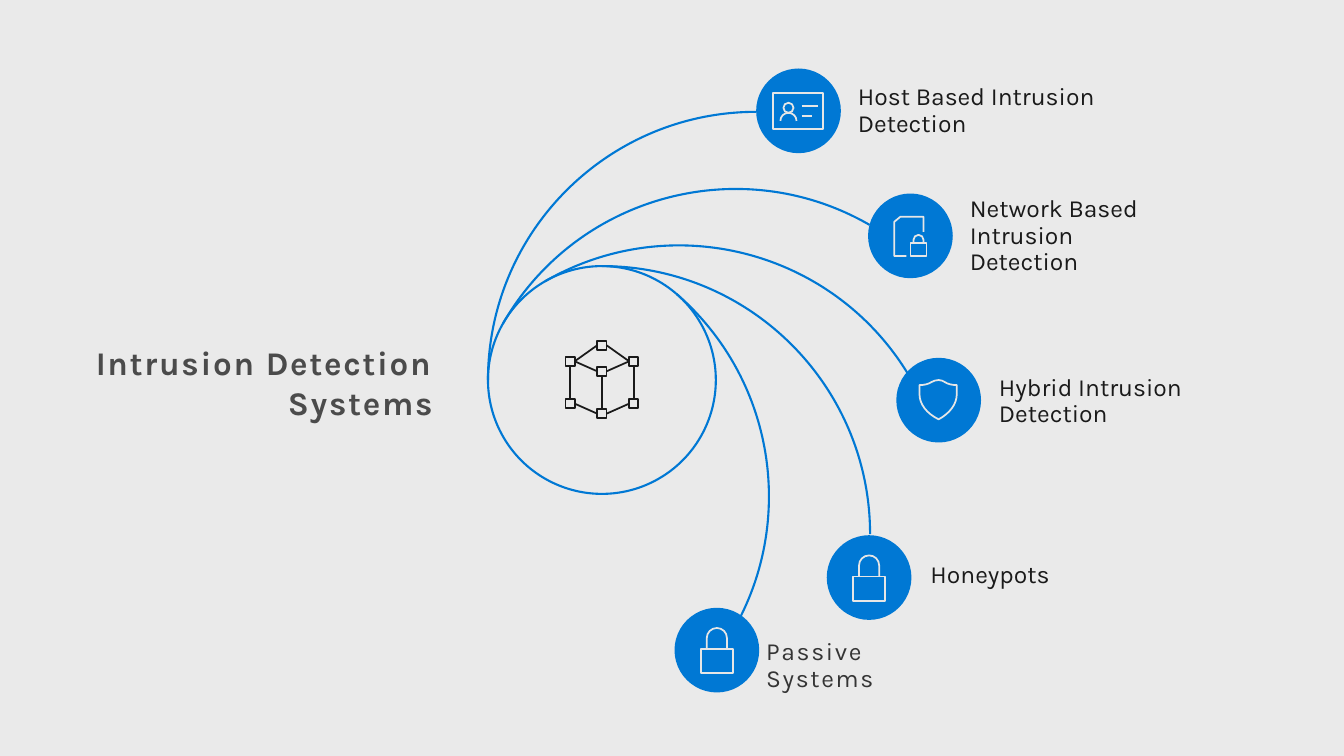
from dataclasses import dataclass
from math import cos, radians, sin, sqrt, tan

from pptx import Presentation
from pptx.dml.color import RGBColor
from pptx.enum.shapes import MSO_SHAPE
from pptx.enum.text import MSO_ANCHOR, MSO_AUTO_SIZE, PP_ALIGN
from pptx.oxml.ns import qn
from pptx.util import Inches, Pt

OVAL = MSO_SHAPE.OVAL
TOP, MIDDLE = MSO_ANCHOR.TOP, MSO_ANCHOR.MIDDLE
LEFT, RIGHT = PP_ALIGN.LEFT, PP_ALIGN.RIGHT
GROW = MSO_AUTO_SIZE.SHAPE_TO_FIT_TEXT


@dataclass(frozen=True)
class Theme:
    font: str = "Karla"
    back: str = "EAEAEA"
    accent: str = "0078D4"
    ink: str = "1A1A1A"
    soft_ink: str = "353535"
    title_ink: str = "4B4B4B"
    icon: str = "E6E6E6"
    title_size: float = 23.6
    label_size: float = 17.6
    tracking: float = 1.2
    arc_line: float = 1.5
    icon_line: float = 1.25


THEME = Theme()

# Content: topic, icon, arc tilt and spin, node centre, label box
TITLE = "Intrusion Detection Systems"
TOPICS = [
    ("Host Based Intrusion Detection", "card", (0, 0), (7.92, 1.1), (8.41, 0.79, 2.93, 0.63)),
    ("Network Based Intrusion Detection", "file", (30, 0), (9.03, 2.34), (9.52, 2.03, 2.34, 0.63)),
    ("Hybrid Intrusion Detection", "shield", (60, 0), (9.31, 3.97), (9.81, 3.67, 2.34, 0.63)),
    ("Honeypots", "padlock", (90, 0), (8.62, 5.73), (9.13, 5.52, 2.21, 0.37)),
    ("Passive Systems", "padlock", (90, 41), (7.11, 6.45), (7.5, 6.42, 2.21, 0.37)),
]
TRACKED = {"Passive Systems"}

# Layout in inches
PAGE_SIZE = (13.33, 7.5)
TITLE_BOX = (0.78, 3.35, 3.61, 0.89)
HUB = (5.97, 3.77)
HUB_RADIUS = 1.13
ARC_RADIUS = 2.66
NODE_RADIUS = 0.42


# A stroke starts at a point; each later item is a point or a cubic of three points
def polar(center, radius, angle):
    turn = radians(angle)
    return center[0] + radius * cos(turn), center[1] + radius * sin(turn)


def arc(center, radius, start, end):
    stroke = [polar(center, radius, start)]
    handle = radius * 4 / 3 * tan(radians(90) / 4)
    for angle in range(start, end, 90):
        first = polar(center, radius, angle)
        last = polar(center, radius, angle + 90)
        stroke.append((polar(first, handle, angle + 90), polar(last, handle, angle), last))
    return stroke


def rectangle(left, top, right, bottom):
    return [(left, top), (right, top), (right, bottom), (left, bottom), (left, top)]


def shackle(x, y, radius, foot):
    return [(x - radius, foot), *arc((x, y), radius, 180, 360), (x + radius, foot)]


def cube():
    half, side = 0.045, 0.315
    corners = {
        "top": (0, -0.345), "front": (0, -0.085), "base": (0, 0.335),
        "left": (-side, -0.185), "right": (side, -0.185),
        "low left": (-side, 0.235), "low right": (side, 0.235),
    }
    edges = [("left", "top"), ("top", "right"), ("left", "front"), ("front", "right"),
             ("low left", "base"), ("base", "low right"),
             ("left", "low left"), ("front", "base"), ("right", "low right")]
    strokes = [rectangle(x - half, y - half, x + half, y + half)
               for x, y in corners.values()]
    for first, second in edges:
        (x1, y1), (x2, y2) = corners[first], corners[second]
        dx, dy = (0, half) if x1 == x2 else (half, 0)
        strokes.append([(x1 + dx, y1 + dy), (x2 - dx, y2 - dy)])
    return strokes


# Icon strokes, measured from the icon centre
ICONS = {
    "card": [
        rectangle(-0.25, -0.18, 0.24, 0.18),
        [(0.03, -0.05), (0.19, -0.05)],
        [(0.03, 0.05), (0.13, 0.05)],
        arc((-0.1, -0.03), 0.05, 0, 360),
        arc((-0.1, 0.1), 0.08, 180, 360),
    ],
    "file": [
        [(-0.04, 0.2), (-0.16, 0.2), (-0.16, -0.14), (-0.1, -0.19), (0.13, -0.19), (0.13, -0.04)],
        rectangle(0, 0.07, 0.16, 0.2),
        shackle(0.08, 0.04, 0.05, 0.07),
    ],
    "shield": [[
        (0.18, -0.06),
        ((0.18, 0.04), (0.11, 0.13), (0, 0.19)),
        ((-0.12, 0.13), (-0.19, 0.04), (-0.19, -0.06)),
        (-0.19, -0.15),
        ((-0.14, -0.15), (-0.1, -0.16), (-0.07, -0.18)),
        ((-0.05, -0.19), (-0.03, -0.2), (0, -0.2)),
        ((0.02, -0.2), (0.05, -0.19), (0.06, -0.18)),
        ((0.09, -0.16), (0.13, -0.15), (0.18, -0.15)),
        (0.18, -0.06),
    ]],
    "padlock": [rectangle(-0.16, -0.01, 0.16, 0.23), shackle(0, -0.12, 0.1, -0.01)],
    "cube": cube(),
}


# Drawing helpers
def color(value):
    return RGBColor.from_string(value)


def style(shape, fill=None, line=None, width=None):
    shape.shadow.inherit = False
    if fill:
        shape.fill.solid()
        shape.fill.fore_color.rgb = color(fill)
    else:
        shape.fill.background()
    if line:
        shape.line.color.rgb = color(line)
        shape.line.width = Pt(width)
    else:
        shape.line.fill.background()


def draw_strokes(shapes, strokes, center, line, width):
    builder, sizes = None, []
    for start, *items in strokes:
        groups = [item if isinstance(item[0], tuple) else (item,) for item in items]
        sizes += [len(group) for group in groups]
        points = [(Inches(center[0] + x), Inches(center[1] + y))
                  for group in [(start,), *groups] for x, y in group]
        if builder is None:
            builder = shapes.build_freeform(*points[0], scale=1.0)
        else:
            builder.move_to(*points[0])
        builder.add_line_segments(points[1:], close=start == items[-1])
    shape = builder.convert_to_shape()
    # Join each run of three segments that belongs to a cubic
    segments = iter(list(shape._element.iter(qn("a:lnTo"))))
    for size in sizes:
        first, *rest = [next(segments) for _ in range(size)]
        if rest:
            cubic = first.makeelement(qn("a:cubicBezTo"), {})
            first.addprevious(cubic)
            for segment in (first, *rest):
                cubic.append(segment[0])
                segment.getparent().remove(segment)
    style(shape, line=line, width=width)
    return shape


def draw_circle(shapes, center, radius, **look):
    x, y = center
    bounds = (x - radius, y - radius, 2 * radius, 2 * radius)
    style(shapes.add_shape(OVAL, *map(Inches, bounds)), **look)


def draw_text(shapes, bounds, text, size, ink, bold=None, tracking=None,
              align=LEFT, anchor=MIDDLE, spacing=None):
    frame = shapes.add_textbox(*map(Inches, bounds)).text_frame
    frame.word_wrap = True
    frame.auto_size = GROW
    frame.vertical_anchor = anchor
    para = frame.paragraphs[0]
    para.alignment = align
    para.line_spacing = spacing
    span = para.add_run()
    span.text = text
    span.font.name = THEME.font
    span.font.size = Pt(size)
    span.font.bold = bold
    span.font.color.rgb = color(ink)
    if tracking:
        span.font._element.set("spc", str(round(tracking * 100)))


def main():
    deck = Presentation()
    deck.slide_width, deck.slide_height = map(Inches, PAGE_SIZE)
    page = deck.slides.add_slide(deck.slide_layouts[6])
    page.background.fill.solid()
    page.background.fill.fore_color.rgb = color(THEME.back)
    shapes = page.shapes

    # Quarter arcs touch the hub from inside; spin turns one about its own middle
    for _, _, (tilt, spin), *_ in TOPICS:
        pivot = polar(HUB, ARC_RADIUS - HUB_RADIUS, tilt + spin)
        middle = polar(pivot, ARC_RADIUS / sqrt(2), 225 + tilt + spin)
        center = polar(middle, ARC_RADIUS / sqrt(2), 45 + tilt)
        quarter = arc((0, 0), ARC_RADIUS, 180 + tilt, 270 + tilt)
        draw_strokes(shapes, [quarter], center, THEME.accent, THEME.arc_line).rotation = spin

    # Hub and title
    draw_circle(shapes, HUB, HUB_RADIUS, line=THEME.accent, width=THEME.arc_line)
    draw_strokes(shapes, ICONS["cube"], HUB, THEME.ink, THEME.icon_line)
    draw_text(shapes, TITLE_BOX, TITLE, THEME.title_size, THEME.title_ink, bold=True,
              tracking=THEME.tracking, align=RIGHT, anchor=TOP)

    # Nodes with icons and labels
    for topic, icon, _, center, label_box in TOPICS:
        node = shapes.add_group_shape().shapes
        draw_circle(node, center, NODE_RADIUS, fill=THEME.accent)
        draw_strokes(node, ICONS[icon], center, THEME.icon, THEME.icon_line)
        tracked = topic in TRACKED
        draw_text(shapes, label_box, topic, THEME.label_size,
                  THEME.soft_ink if tracked else THEME.ink,
                  tracking=THEME.tracking if tracked else None, spacing=0.9)

    deck.save("out.pptx")


if __name__ == "__main__":
    main()
